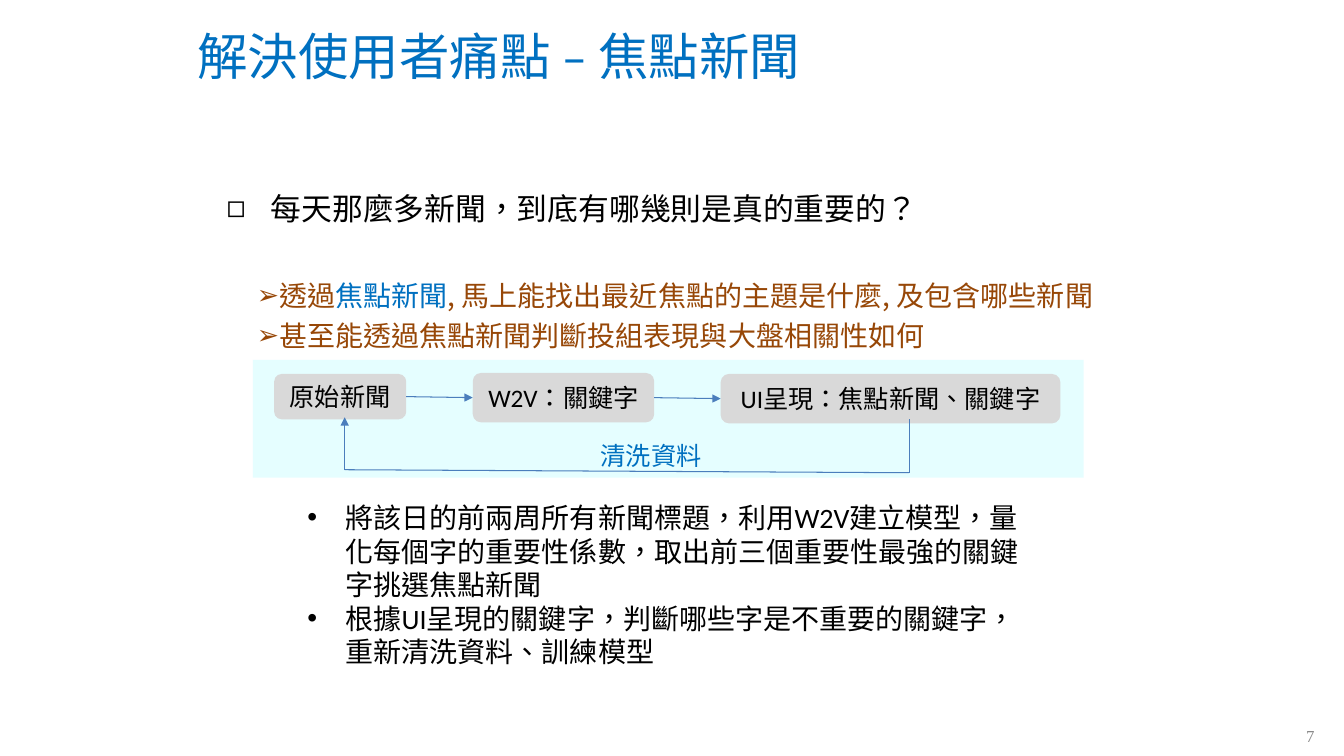
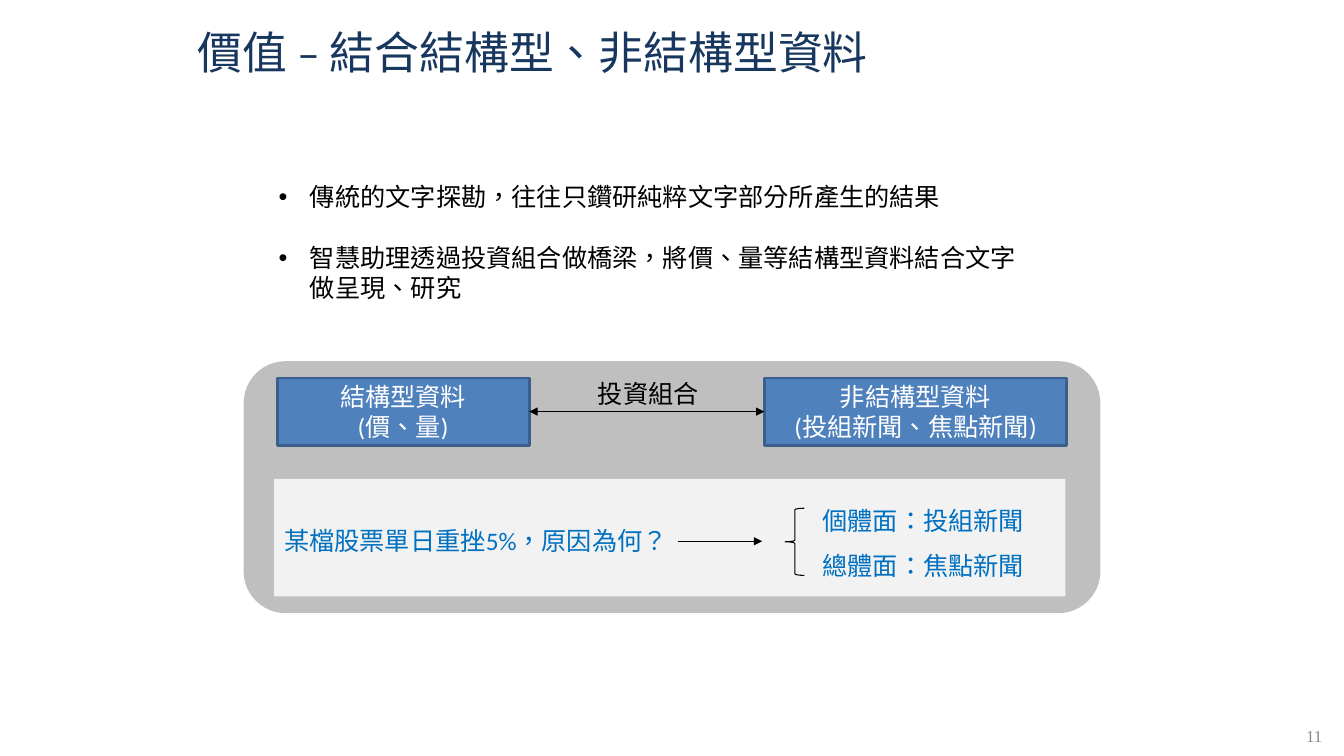
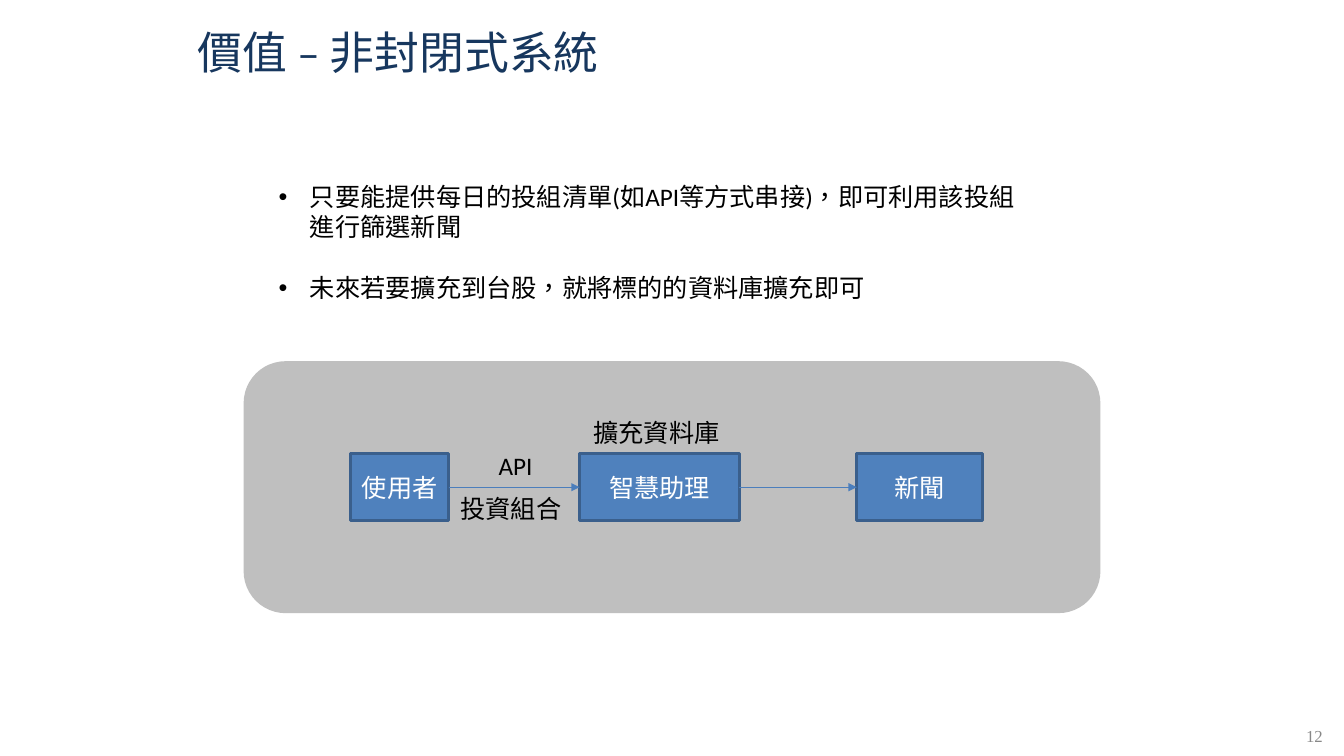
from dataclasses import dataclass
from itertools import pairwise

from lxml.etree import SubElement
from pptx import Presentation
from pptx.dml.color import RGBColor
from pptx.enum.lang import MSO_LANGUAGE_ID as Lang
from pptx.enum.shapes import MSO_CONNECTOR as Link, MSO_SHAPE as Preset
from pptx.enum.text import MSO_ANCHOR as Anchor, PP_ALIGN as Align
from pptx.oxml.ns import qn
from pptx.util import Inches, Pt

COLUMNS, ROWS = 160, 90
DECK_WIDTH, DECK_HEIGHT = Inches(13.33), Inches(7.5)
BLANK_LAYOUT = 6


@dataclass(frozen=True)
class Theme:
    """Colours, fonts and type sizes of the deck."""
    black: str = "000000"
    white: str = "FFFFFF"
    accent: str = "0070C0"
    navy: str = "17375E"
    brown: str = "974707"
    muted: str = "888888"
    panel: str = "BFBFBF"
    inset: str = "F2F2F2"
    band: str = "E5FEFF"
    step: str = "D9D9D9"
    node: str = "4F81BD"
    node_line: str = "3A5F8C"
    link: str = "4B7EBC"
    body_font: str = "Calibri"
    head_font: str = "Noto Sans CJK JP"
    number_font: str = "Times New Roman"
    title_size: int = 32
    focus_size: int = 36
    lead_size: int = 22
    point_size: int = 20
    body_size: int = 18
    number_size: int = 12


THEME = Theme()


@dataclass(frozen=True)
class Box:
    """A rectangle in columns and rows of the slide grid."""
    left: float
    top: float
    width: float
    height: float

    def inside(self, left, top, width, height):
        """Return a box placed relative to this one."""
        return Box(self.left + left, self.top + top, width, height)

    def point(self, across, down):
        """Return a grid point placed relative to this box."""
        return self.left + across, self.top + down

    def west(self):
        """Return the middle of the left side."""
        return self.point(0, self.height / 2)

    def east(self):
        """Return the middle of the right side."""
        return self.point(self.width, self.height / 2)

    def frame(self):
        """Return left, top, width and height as slide lengths."""
        return (*place(self.left, self.top), *place(self.width, self.height))


TITLE = Box(23.4, 2.76, 92, 7)
NUMBER = Box(155, 86.4, 4, 2.4)
INTRO = Box(32, 21, 91, 15.7)
PANEL = Box(29, 43, 102, 30)
LEAD = Box(25.68, 21.96, 111, 20.76)
FLOW = Box(30.12, 42.84, 98.88, 14.04)
DETAIL = Box(23.4, 59, 101.28, 21.4)


def place(across, down):
    """Turn grid columns and rows into slide lengths."""
    return int(DECK_WIDTH * across / COLUMNS), int(DECK_HEIGHT * down / ROWS)


def rgb(colour):
    """Turn a hex text into a colour."""
    return RGBColor.from_string(colour)


def set_bullet(para, sign, margin, hang, sign_size=100):
    """Give a paragraph a hanging bullet."""
    props = para._p.get_or_add_pPr()
    props.set("marL", str(Inches(margin)))
    props.set("indent", str(-Inches(hang)))
    SubElement(props, qn("a:buSzPct")).set("val", str(sign_size * 1000))
    SubElement(props, qn("a:buFont")).set("typeface", "Arial")
    SubElement(props, qn("a:buChar")).set("char", sign)


def add_span(para, text, size, colour, font):
    """Add one formatted run to a paragraph."""
    span = para.add_run()
    span.text = text
    span.font.size = Pt(size)
    span.font.name = font
    span.font.color.rgb = rgb(colour)
    span.font.language_id = Lang.TRADITIONAL_CHINESE
    east = SubElement(span._r.get_or_add_rPr(), qn("a:ea"))
    east.set("typeface", THEME.body_font)


def add_para(frame, spans, first=False, size=THEME.body_size, colour=THEME.black,
             font=THEME.body_font, align=None, before=0, leading=None, bullet=None):
    """Add a paragraph made of plain text or of (text, colour) spans."""
    para = frame.paragraphs[0] if first else frame.add_paragraph()
    if bullet:
        set_bullet(para, **bullet)
    if align is not None:
        para.alignment = align
    if before and not first:
        para.space_before = Pt(before)
    if leading:
        para.line_spacing = leading
    for text, tint in [(spans, colour)] if isinstance(spans, str) else spans:
        add_span(para, text, size, tint, font)


def add_text(page, box, *lines, insets=None, **look):
    """Add a wrapping text box with one paragraph for each line."""
    frame = page.shapes.add_textbox(*box.frame()).text_frame
    frame.word_wrap = True
    if insets:
        (frame.margin_left, frame.margin_top,
         frame.margin_right, frame.margin_bottom) = map(Inches, insets)
    for index, line in enumerate(lines):
        add_para(frame, line, first=index == 0, **look)
    return frame


def add_block(page, box, preset, *lines, fill=None, line=None, weight=2, colour=THEME.black):
    """Add a preset shape with centred lines of text."""
    shape = page.shapes.add_shape(preset, *box.frame())
    shape.shadow.inherit = False
    if fill:
        shape.fill.solid()
        shape.fill.fore_color.rgb = rgb(fill)
    else:
        shape.fill.background()
    if line:
        shape.line.color.rgb = rgb(line)
        shape.line.width = Pt(weight)
    else:
        shape.line.fill.background()
    shape.text_frame.vertical_anchor = Anchor.MIDDLE
    for index, text in enumerate(lines):
        add_para(shape.text_frame, text, first=index == 0, colour=colour, align=Align.CENTER)


def add_node(page, box, *lines):
    """Add a blue diagram node."""
    add_block(page, box, Preset.RECTANGLE, *lines,
              fill=THEME.node, line=THEME.node_line, colour=THEME.white)


def add_link(page, start, end, colour=THEME.link, head=False, tail=True):
    """Draw a thin line between two grid points, with optional arrowheads."""
    link = page.shapes.add_connector(Link.STRAIGHT, *place(*start), *place(*end))
    link.line.color.rgb = rgb(colour)
    link.line.width = Pt(0.75)
    stroke = link.line._get_or_add_ln()
    for wanted, tag in ((head, "a:headEnd"), (tail, "a:tailEnd")):
        if wanted:
            SubElement(stroke, qn(tag)).set("type", "triangle")
    SubElement(link._element.spPr, qn("a:effectLst"))


def add_page(deck, number, title, size=THEME.title_size, colour=THEME.navy):
    """Add a slide with its title and page number."""
    page = deck.slides.add_slide(deck.slide_layouts[BLANK_LAYOUT])
    add_text(page, TITLE, title, insets=(0.01, 0.02, 0, 0),
             size=size, colour=colour, font=THEME.head_font)
    add_text(page, NUMBER, str(number), insets=(0.04, 0, 0, 0), leading=Pt(14.1),
             size=THEME.number_size, colour=THEME.muted, font=THEME.number_font)
    return page


def add_intro(page, box, *points):
    """Add the widely spaced bullets above a panel."""
    add_text(page, box, *points, before=22, bullet=dict(sign="•", margin=0.31, hang=0.31))


def add_panel(page, box):
    """Add the grey rounded panel behind a diagram."""
    add_block(page, box, Preset.ROUNDED_RECTANGLE, fill=THEME.panel)


def add_lead(page, box):
    """Add the opening question and its two answers."""
    frame = add_text(page, box, "每天那麼多新聞，到底有哪幾則是真的重要的？",
                     size=THEME.lead_size, font=THEME.head_font,
                     bullet=dict(sign="◻", margin=0.45, hang=0.44))
    answers = (
        [("透過", THEME.brown), ("焦點新聞", THEME.accent),
         (", 馬上能找出最近焦點的主題是什麼, 及包含哪些新聞", THEME.brown)],
        "甚至能透過焦點新聞判斷投組表現與大盤相關性如何",
    )
    for answer, before in zip(answers, (37, 4.9)):
        add_para(frame, answer, size=THEME.point_size, colour=THEME.brown,
                 font=THEME.head_font, before=before,
                 bullet=dict(sign="➢", margin=0.53, hang=0.22, sign_size=95))


def add_flow(page, box):
    """Add the three steps with the loop that leads back."""
    add_block(page, box, Preset.RECTANGLE, fill=THEME.band)
    steps = {
        "原始新聞": box.inside(2.52, 1.68, 15.72, 5.4),
        "W2V：關鍵字": box.inside(26.16, 1.56, 21.6, 5.88),
        "UI呈現：焦點新聞、關鍵字": box.inside(55.68, 1.68, 40.44, 5.88),
    }
    for label, step in steps.items():
        add_block(page, step, Preset.ROUNDED_RECTANGLE, label, fill=THEME.step)
    for step, following in pairwise(steps.values()):
        add_link(page, step.east(), following.west())
    corners = [box.point(*corner) for corner in
               ((78.12, 7.08), (78.12, 13.44), (10.92, 13.08), (10.92, 6.84))]
    for start, end in pairwise(corners):
        add_link(page, start, end, tail=end == corners[-1])
    add_text(page, box.inside(40.2, 9, 15.5, 4.8), "清洗資料", colour=THEME.accent)


def add_bridge(page, box):
    """Add the two kinds of data and the link between them."""
    structured = box.inside(4, 2, 30, 8)
    unstructured = box.inside(62, 2, 36, 8)
    add_node(page, structured, "結構型資料", "(價、量)")
    add_node(page, unstructured, "非結構型資料", "(投組新聞、焦點新聞)")
    add_link(page, structured.east(), unstructured.west(), THEME.black, head=True)
    add_text(page, box.inside(41, 1.4, 15, 5), "投資組合")


def add_question(page, box):
    """Add the example question with its two bracketed answers."""
    add_block(page, box, Preset.RECTANGLE, fill=THEME.inset)
    add_text(page, box.inside(0, 5, 48, 4.8), "某檔股票單日重挫5%，原因為何？",
             colour=THEME.accent)
    add_link(page, box.point(48.1, 7.44), box.point(58.1, 7.44), THEME.black)
    add_block(page, box.inside(60.84, 3.5, 2.28, 8), Preset.LEFT_BRACE,
              line=THEME.black, weight=0.75)
    add_text(page, box.inside(64.1, 0.72, 36, 11.5), "個體面：投組新聞", "總體面：焦點新聞",
             colour=THEME.accent, leading=1.5)


def add_chain(page, box):
    """Add the chain from user to news with its labels."""
    nodes = {
        "使用者": box.inside(12.76, 11, 11.64, 8),
        "智慧助理": box.inside(40, 11, 19, 8),
        "新聞": box.inside(73, 11, 15, 8),
    }
    for label, node in nodes.items():
        add_node(page, node, label)
    for node, following in pairwise(nodes.values()):
        add_link(page, node.east(), following.west())
    add_text(page, box.inside(24.64, 15.08, 15, 5), "投資組合")
    add_text(page, box.inside(24.88, 10.04, 15, 5), "API", align=Align.CENTER)
    add_text(page, box.inside(40.48, 6.08, 18, 4.8), "擴充資料庫")


def build_focus(deck):
    """Build the focus news slide."""
    page = add_page(deck, 7, "解決使用者痛點 – 焦點新聞", THEME.focus_size, THEME.accent)
    add_lead(page, LEAD)
    add_flow(page, FLOW)
    add_text(page, DETAIL,
             "將該日的前兩周所有新聞標題，利用W2V建立模型，量化每個字的重要性係數，"
             "取出前三個重要性最強的關鍵字挑選焦點新聞",
             "根據UI呈現的關鍵字，判斷哪些字是不重要的關鍵字，重新清洗資料、訓練模型",
             size=THEME.point_size, bullet=dict(sign="•", margin=1.38, hang=0.38))


def build_combined(deck):
    """Build the slide on combining two kinds of data."""
    page = add_page(deck, 11, "價值 – 結合結構型、非結構型資料")
    add_intro(page, INTRO, "傳統的文字探勘，往往只鑽研純粹文字部分所產生的結果",
              "智慧助理透過投資組合做橋梁，將價、量等結構型資料結合文字做呈現、研究")
    add_panel(page, PANEL)
    add_bridge(page, PANEL)
    add_question(page, PANEL.inside(3.64, 14, 94.2, 14))


def build_open(deck):
    """Build the slide on the open system."""
    page = add_page(deck, 12, "價值 – 非封閉式系統")
    add_intro(page, INTRO, "只要能提供每日的投組清單(如API等方式串接)，即可利用該投組進行篩選新聞",
              "未來若要擴充到台股，就將標的的資料庫擴充即可")
    add_panel(page, PANEL)
    add_chain(page, PANEL)


def main():
    """Build and save the deck."""
    deck = Presentation()
    deck.slide_width, deck.slide_height = DECK_WIDTH, DECK_HEIGHT
    for build in (build_focus, build_combined, build_open):
        build(deck)
    deck.save("out.pptx")


if __name__ == "__main__":
    main()
